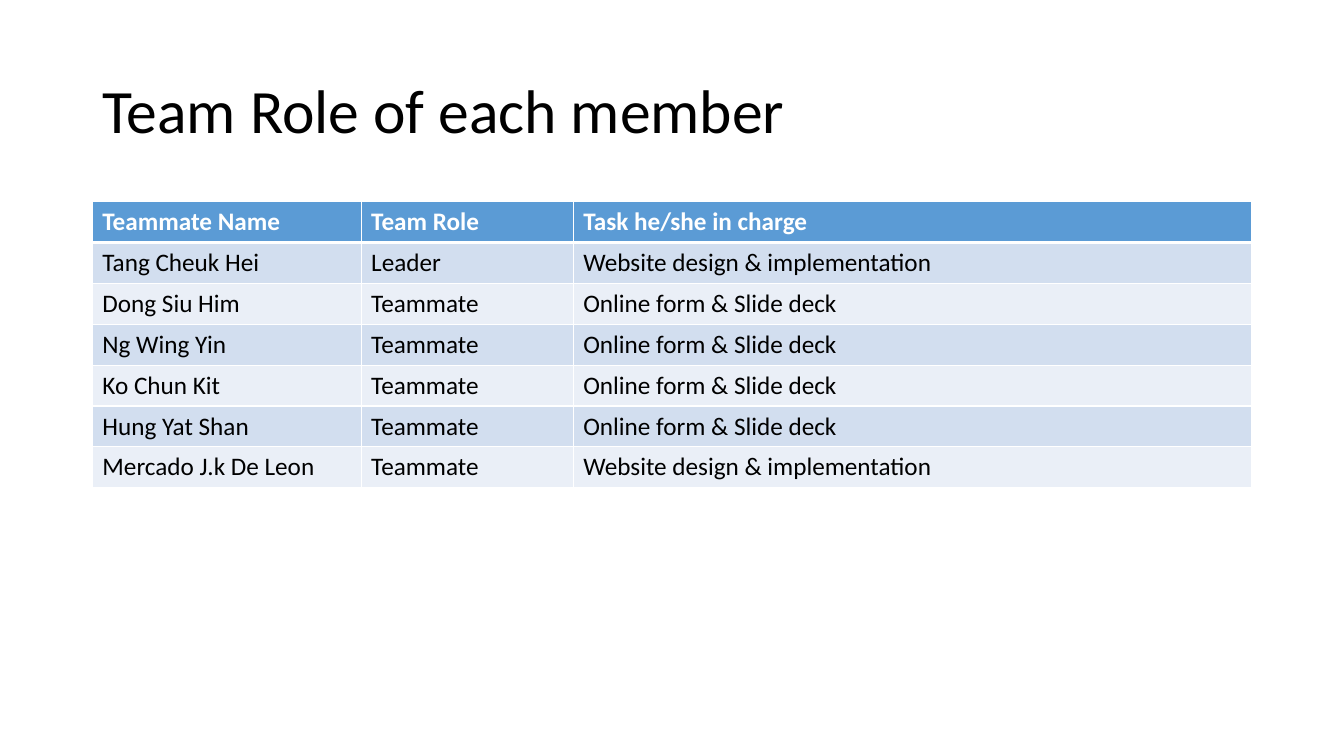
"""Build a slide with a table of team members, their roles and their tasks."""
import lxml.etree
import pptx
import pptx.dml.color
import pptx.enum.text
import pptx.oxml.ns
import pptx.util

Pt = pptx.util.Pt
RGBColor = pptx.dml.color.RGBColor

BLACK = RGBColor(0x00, 0x00, 0x00)
WHITE = RGBColor(0xFF, 0xFF, 0xFF)
HEADER_BLUE = RGBColor(0x5B, 0x9B, 0xD5)
BAND_DARK = RGBColor(0xD2, 0xDE, 0xEF)
BAND_LIGHT = RGBColor(0xEA, 0xEF, 0xF7)

LEFT, WIDTH = 66, 828
COLUMN_WIDTHS = [192, 151.5, 484.5]
ROW_HEIGHT = 29.2
WEB_TASK = "Website design & implementation"
FORM_TASK = "Online form & Slide deck"
ROWS = [
    ("Teammate Name", "Team Role", "Task he/she in charge"),
    ("Tang Cheuk Hei", "Leader", WEB_TASK),
    ("Dong Siu Him", "Teammate", FORM_TASK),
    ("Ng Wing Yin", "Teammate", FORM_TASK),
    ("Ko Chun Kit", "Teammate", FORM_TASK),
    ("Hung Yat Shan", "Teammate", FORM_TASK),
    ("Mercado J.k De Leon", "Teammate", WEB_TASK),
]


def format_font(font, color, **values):
    for name, value in {"name": "Calibri", **values}.items():
        setattr(font, name, value)
    font.color.rgb = color


def add_border(cell, side, width):
    qn = pptx.oxml.ns.qn
    properties = cell._tc.get_or_add_tcPr()
    line = lxml.etree.SubElement(properties, qn(f"a:ln{side}"), w=str(Pt(width)))
    fill = lxml.etree.SubElement(line, qn("a:solidFill"))
    lxml.etree.SubElement(fill, qn("a:srgbClr"), val=str(WHITE))


presentation = pptx.Presentation()
presentation.slide_width = Pt(960)
presentation.slide_height = Pt(540)
slide = presentation.slides.add_slide(presentation.slide_layouts[6])

title = slide.shapes.add_textbox(Pt(LEFT), Pt(28.8), Pt(WIDTH), Pt(104.4))
frame = title.text_frame
frame.word_wrap = True
frame.vertical_anchor = pptx.enum.text.MSO_ANCHOR.MIDDLE
paragraph = frame.paragraphs[0]
paragraph.text = "Team Role of each member"
paragraph.line_spacing = 0.9
format_font(paragraph.font, BLACK, size=Pt(44))

table = slide.shapes.add_table(
    len(ROWS), len(COLUMN_WIDTHS), Pt(LEFT), Pt(144), Pt(WIDTH), Pt(ROW_HEIGHT * len(ROWS))
).table
for column, width in zip(table.columns, COLUMN_WIDTHS):
    column.width = Pt(width)

for row_index, texts in enumerate(ROWS):
    table.rows[row_index].height = Pt(ROW_HEIGHT)
    is_header = row_index == 0
    band = BAND_DARK if row_index % 2 else BAND_LIGHT
    border_widths = {"L": 1, "R": 1, "T": 3 if row_index == 1 else 1, "B": 3 if is_header else 1}
    for column_index, text in enumerate(texts):
        cell = table.cell(row_index, column_index)
        for side, width in border_widths.items():
            add_border(cell, side, width)
        cell.fill.solid()
        cell.fill.fore_color.rgb = HEADER_BLUE if is_header else band
        cell.text = text
        font = cell.text_frame.paragraphs[0].font
        format_font(font, WHITE if is_header else BLACK, size=Pt(18), bold=is_header)

presentation.save("out.pptx")
